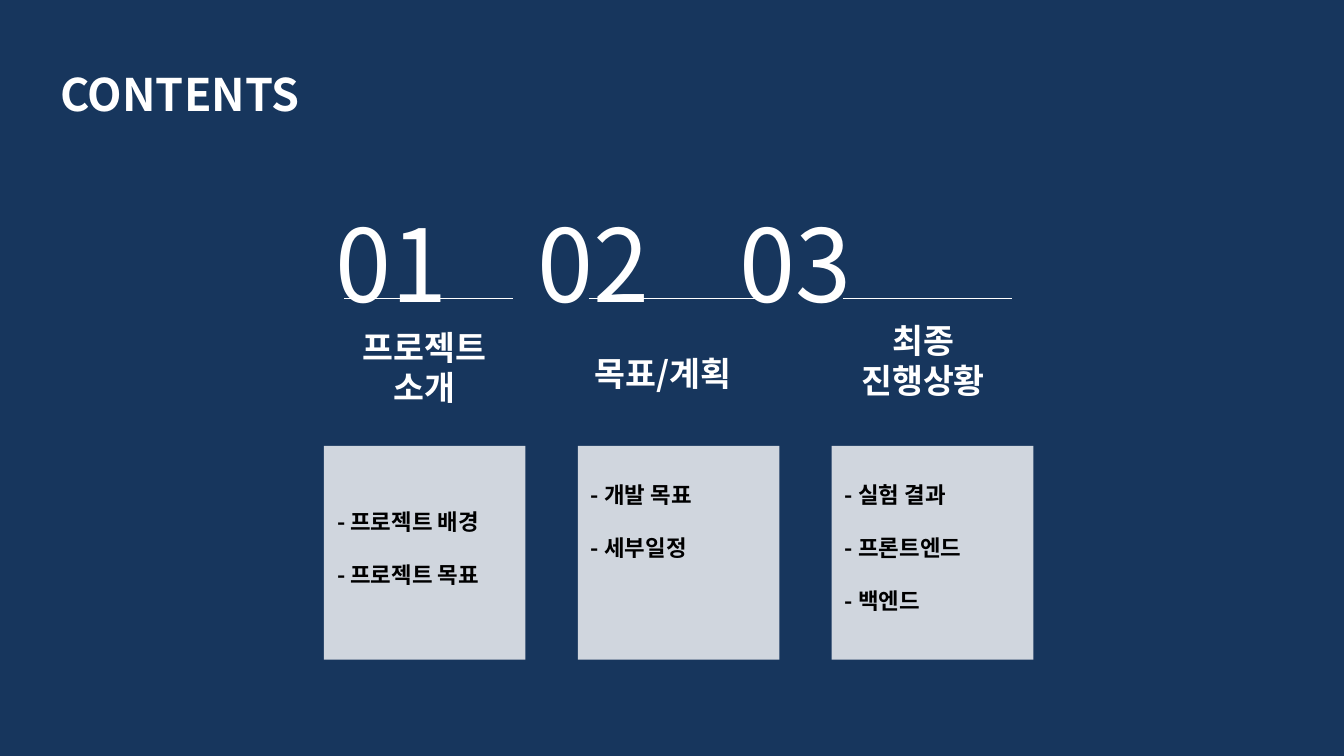
from dataclasses import dataclass
from typing import Any

from lxml.etree import SubElement as Sub
from pptx import Presentation as Deck
from pptx.dml.color import RGBColor as Rgb
from pptx.enum.shapes import MSO_CONNECTOR as Conn, MSO_SHAPE as Form
from pptx.enum.text import MSO_ANCHOR as Anchor, PP_ALIGN as Align
from pptx.oxml.ns import qn
from pptx.util import Cm, Pt

HUES = {"navy": "17365D", "white": "FFFFFF", "black": "000000"}
FACE = "Noto Sans CJK KR"
LEFT, STEP, WIDE = 6.12, 4.8, 3.81


@dataclass
class Head:
    lines: list[str]
    left: float
    top: float
    width: float
    form: dict[str, Any]
    mid: bool = False


@dataclass
class Topic:
    head: Head
    rule: float
    items: list[str]
    top: float
    high: float
    inset: float = 0.13
    mid: bool = False


TOPICS = [
    Topic(Head(["프로젝트", "소개"], 6.12, 6.05, 3.81, {}), 6.5,
          ["- 프로젝트 배경", "- 프로젝트 목표"], 8.74, 3.23, mid=True),
    Topic(Head(["목표/계획"], 10.72, 5.92, 3.61, {"line_spacing": 1.5}, True), 11.13,
          ["- 개발 목표", "- 세부일정"], 8.74, 3.23, 0.35),
    Topic(Head(["최종", "진행상황"], 15.54, 5.92, 3.81, {}), 15.93,
          ["- 실험 결과", "- 프론트엔드", "- 백엔드"], 8.43, 4.04, 0.66),
]


def apply(obj: Any, form: dict[str, Any]) -> None:
    for key, val in form.items():
        setattr(obj, key, val)


def hue(name: str) -> Rgb:
    return Rgb.from_string(HUES[name])


def write(slide: Any, box: tuple[float, ...], lines: list[str], size: int,
          tint: str = "white", bold: bool = True, mid: bool = False,
          inset: float = 0.13, gap: float = 0,
          form: dict[str, Any] | None = None) -> Any:
    frame = slide.shapes.add_textbox(*map(Cm, box)).text_frame
    apply(frame, {
        "word_wrap": True,
        "vertical_anchor": Anchor.MIDDLE if mid else Anchor.TOP,
        "margin_top": Cm(inset),
    })
    for num, line in enumerate(lines):
        para = frame.add_paragraph() if num else frame.paragraphs[0]
        apply(para, form or {})
        if num and gap:
            para.space_before = Pt(gap)
        run = para.add_run()
        run.text = line
        apply(run.font, {"name": FACE, "size": Pt(size), "bold": bold})
        run.font.color.rgb = hue(tint)
        Sub(run.font._element, qn("a:ea"), typeface=FACE)
    return frame


def panel(slide: Any, left: float) -> None:
    card = slide.shapes.add_shape(
        Form.RECTANGLE, Cm(left), Cm(8.43), Cm(WIDE), Cm(4.04))
    card.shadow.inherit = False
    card.fill.solid()
    card.fill.fore_color.rgb = hue("white")
    card.line.fill.background()
    tone = card._element.spPr.find(".//" + qn("a:srgbClr"))
    Sub(tone, qn("a:alpha"), val="80000")


def rule(slide: Any, left: float) -> None:
    line = slide.shapes.add_connector(
        Conn.STRAIGHT, Cm(left), Cm(5.64), Cm(left + 3.2), Cm(5.64))
    line.line.width = Pt(0.75)
    line.line.color.rgb = hue("white")
    Sub(line._element.spPr, qn("a:effectLst"))


def count(slide: Any) -> None:
    marks = "\t".join(f"{num:02}" for num in range(1, len(TOPICS) + 1))
    frame = write(slide, (6.1, 3.68, 14.05, 1.93), [marks], 54, bold=False)
    props = frame.paragraphs[0]._p.get_or_add_pPr()
    stops = Sub(props, qn("a:tabLst"))
    for num in range(1, len(TOPICS)):
        Sub(stops, qn("a:tab"), pos=str(int(Cm(WIDE * num))), algn="l")


def main() -> None:
    deck = Deck()
    apply(deck, {"slide_width": Cm(25.4), "slide_height": Cm(14.29)})
    slide = deck.slides.add_slide(deck.slide_layouts[6])
    slide.background.fill.solid()
    slide.background.fill.fore_color.rgb = hue("navy")
    write(slide, (0.89, 1.14, 11.61, 0.97), ["CONTENTS"], 24)
    count(slide)
    for num, topic in enumerate(TOPICS):
        left = LEFT + STEP * num
        head = topic.head
        panel(slide, left)
        rule(slide, topic.rule)
        write(slide, (head.left, head.top, head.width, 1.88), head.lines, 18,
              mid=head.mid, form={"alignment": Align.CENTER, **head.form})
        write(slide, (left, topic.top, WIDE, topic.high), topic.items, 12,
              "black", mid=topic.mid, inset=topic.inset, gap=14.2)
    deck.save("out.pptx")


if __name__ == "__main__":
    main()
